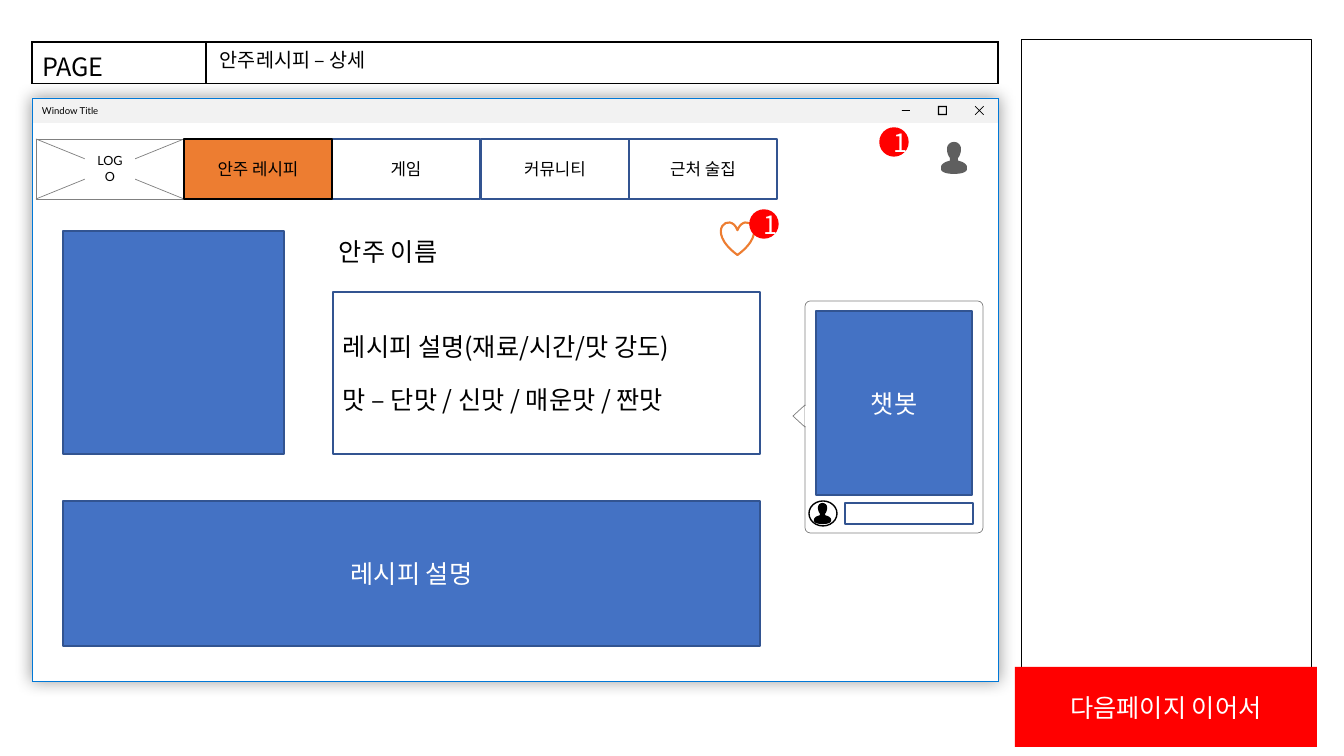
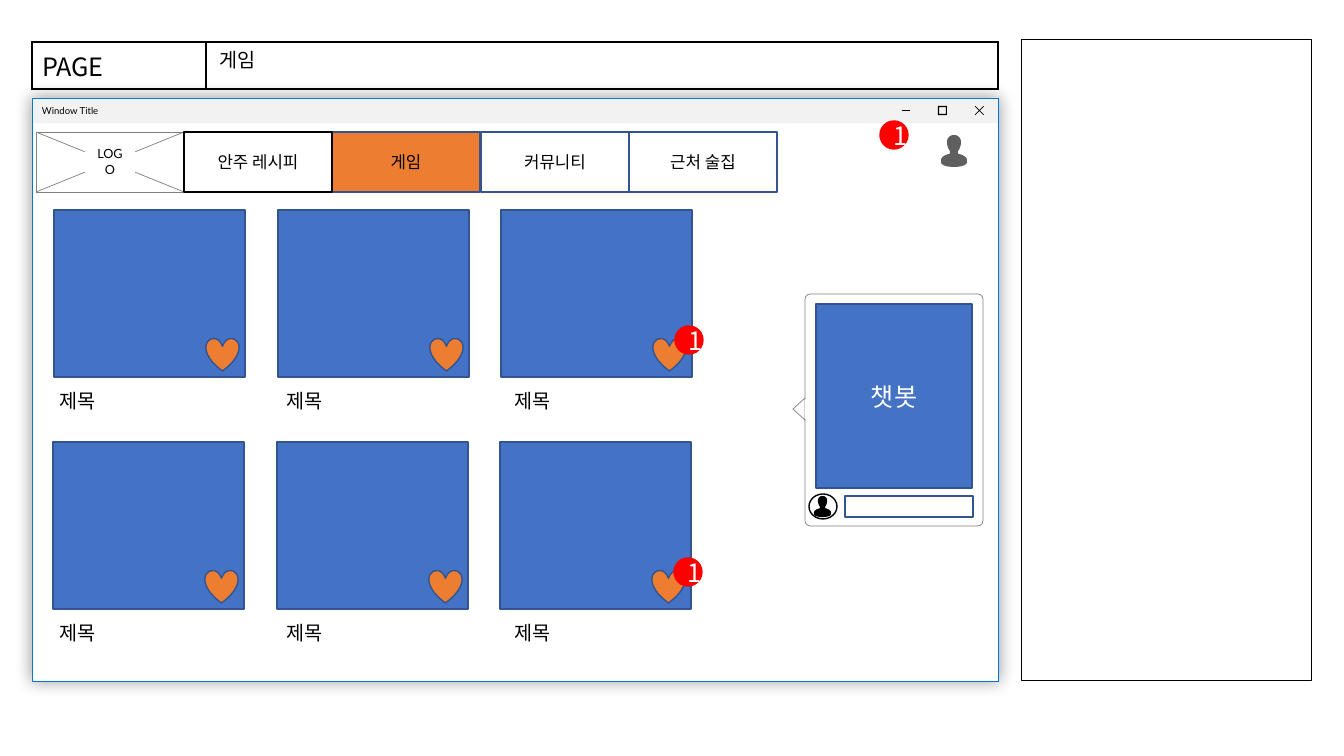
from lxml import etree
from pptx import Presentation
from pptx.dml.color import RGBColor
from pptx.enum.shapes import MSO_CONNECTOR, MSO_SHAPE as SHAPE
from pptx.enum.text import MSO_ANCHOR as ANCHOR, PP_ALIGN as ALIGN
from pptx.oxml.ns import qn
from pptx.util import Pt

PX = 12192000 / 1344  # EMU per px
KOREAN, LATIN = "Noto Sans CJK KR", "Lato"
COLORS = {
    "black": "000000", "white": "FFFFFF", "blue": "4472C4", "navy": "325491",
    "orange": "ED7D31", "red": "FF0000", "gray": "808080", "dark": "5F5F5F",
    "window": "0078D7", "bar": "F2F2F2",
}
TABS = ["안주 레시피", "게임", "커뮤니티", "근처 술집"]
CROSS = [(1, 0), (9, 8), (17, 0), (18, 1), (10, 9), (18, 17),
         (17, 18), (9, 10), (1, 18), (0, 17), (8, 9), (0, 1)]
# Left half of the person icon, each row one cubic curve, 26 x 32 units
PERSON_CURVES = [
    ((13, 0), (9, 0), (6, 3), (6, 7)),
    ((6, 7), (6, 10), (7, 14), (9, 16)),
    ((9, 17), (9, 18), (9, 19), (8, 19)),
    ((8, 19), (3, 20), (0, 23), (0, 25)),
    ((0, 27), (0, 30), (5, 32), (13, 32)),
]


def emu(px):
    return round(px * PX)


def rgb(name):
    return RGBColor.from_string(COLORS[name])


def person_outline(steps=8):
    left = []
    for curve in PERSON_CURVES:
        for i in range(steps + 1):
            t = i / steps
            weights = ((1 - t) ** 3, 3 * t * (1 - t) ** 2, 3 * t * t * (1 - t), t ** 3)
            left.append(tuple(sum(w * pt[axis] for w, pt in zip(weights, curve))
                              for axis in (0, 1)))
    return left + [(26 - x, y) for x, y in reversed(left)]


def write(tf, text, size=18, color="white", font=KOREAN, align=ALIGN.CENTER,
          anchor=ANCHOR.MIDDLE, insets=None, spacing=None, before=0):
    """Fill a text frame; each line of text is a paragraph."""
    tf.word_wrap = True
    tf.vertical_anchor = anchor
    if insets:
        tf.margin_left, tf.margin_top, tf.margin_right, tf.margin_bottom = map(emu, insets)
    for i, line in enumerate(text.split("\n")):
        p = tf.add_paragraph() if i else tf.paragraphs[0]
        p.alignment = align
        if spacing:
            p.line_spacing = spacing
        if i:
            p.space_before = Pt(before)
        r = p.add_run()
        r.text = line
        r.font.size, r.font.name = Pt(size), font
        r.font.color.rgb = rgb(color)
        etree.SubElement(r.font._element, qn("a:ea"), typeface=font)


class Wireframe:
    def __init__(self, prs):
        self.prs = prs
        self.s = None

    # Basic elements
    def paint(self, sp, fill=None, line=None, weight=1):
        sp.shadow.inherit = False
        if fill:
            sp.fill.solid()
            sp.fill.fore_color.rgb = rgb(fill)
        else:
            sp.fill.background()
        if line:
            sp.line.color.rgb = rgb(line)
            sp.line.width = Pt(weight)
        else:
            sp.line.fill.background()
        return sp

    def shape(self, kind, x, y, w, h, text=None, fill=None, line=None, weight=1, **style):
        sp = self.s.shapes.add_shape(kind, *map(emu, (x, y, w, h)))
        if text:
            write(sp.text_frame, text, **style)
        return self.paint(sp, fill, line, weight)

    def rect(self, *box, **style):
        return self.shape(SHAPE.RECTANGLE, *box, **style)

    def text(self, x, y, w, h, text, **style):
        tb = self.s.shapes.add_textbox(*map(emu, (x, y, w, h)))
        write(tb.text_frame, text, color="black", align=ALIGN.LEFT,
              anchor=ANCHOR.TOP, **style)

    def line(self, x1, y1, x2, y2, color):
        c = self.s.shapes.add_connector(MSO_CONNECTOR.STRAIGHT, *map(emu, (x1, y1, x2, y2)))
        c.line.color.rgb = rgb(color)
        c.line.width = Pt(0.5)
        etree.SubElement(c._element.spPr, qn("a:effectLst"))

    def outline(self, points, x, y, unit, fill):
        """Closed polygon; unit is the px length of one point unit."""
        fine = [(px * 100, py * 100) for px, py in points]
        fb = self.s.shapes.build_freeform(*fine[0], scale=unit * PX / 100)
        fb.add_line_segments(fine[1:], close=True)
        self.paint(fb.convert_to_shape(emu(x), emu(y)), fill)

    def badge(self, x, y):
        self.shape(SHAPE.OVAL, x, y, 28, 28, "1", fill="red", line="red")

    def heart(self, x, y, fill="orange", line="navy", weight=1):
        self.shape(SHAPE.HEART, x, y, 33, 33, fill=fill, line=line, weight=weight)

    # Shared page parts
    def window(self):
        box = (32, 98, 966, 583)
        body = self.rect(*box, fill="white", line="window", weight=0.5)
        shadow = etree.SubElement(body._element.spPr.find(qn("a:effectLst")),
                                  qn("a:outerShdw"), blurRad=str(Pt(12)), dist="0",
                                  algn="ctr", rotWithShape="0")
        color = etree.SubElement(shadow, qn("a:srgbClr"), val=COLORS["black"])
        etree.SubElement(color, qn("a:alpha"), val="40000")
        self.rect(32, 98, 966, 25, "Window Title", fill="bar", size=6.8, color="black",
                  font=LATIN, align=ALIGN.LEFT, insets=(10, 6, 10, 5))
        self.rect(902, 110, 8, 1, fill="black")
        self.shape(SHAPE.FRAME, 938, 106, 9, 9, fill="black").adjustments[0] = 0.12
        self.outline(CROSS, 975, 106, 0.5, "black")
        self.rect(*box, line="window", weight=0.5)

    def page_table(self, height, bottom):
        widths = (174, 792)
        gf = self.s.shapes.add_table(1, 2, emu(32), emu(42), emu(sum(widths)), emu(height))
        table = gf.table
        table.first_row = table.horz_banding = False
        for i, width in enumerate(widths):
            table.columns[i].width = emu(width)
            cell = table.cell(0, i)
            cell.margin_top, cell.margin_bottom = emu(5), emu(bottom)
            tcPr = cell._tc.get_or_add_tcPr()
            for side in ("a:lnL", "a:lnR", "a:lnT", "a:lnB"):
                ln = etree.SubElement(tcPr, qn(side), w=str(Pt(1)))
                fill = etree.SubElement(ln, qn("a:solidFill"))
                etree.SubElement(fill, qn("a:srgbClr"), val=COLORS["black"])
            cell.fill.background()
        write(table.cell(0, 0).text_frame, "PAGE", color="black",
              align=ALIGN.LEFT, anchor=ANCHOR.TOP)

    def logo(self, x, y, w, h):
        self.rect(x, y, w, h, fill="white", line="gray", weight=0.5)
        self.line(x, y + h, x + w, y, "gray")
        self.line(x + w, y + h, x, y, "gray")
        self.rect(x + 49, y + 18, 50, 23, "LOGO", fill="white", size=9, color="black",
                  font=LATIN, insets=(8, 4, 8, 4))

    def tabs(self, y, active):
        for i, name in reversed(list(enumerate(TABS))):
            self.rect(184 + 594 * i // 4, y, 148, 60, name, size=12, color="black",
                      fill="orange" if name == active else "white",
                      line="navy" if i else "black")

    def chatbot(self, y):
        panel = self.shape(SHAPE.ROUNDED_RECTANGLE, 805, y, 178, 232,
                           fill="white", line="gray", weight=0.5)
        panel.adjustments[0] = 0.03
        self.shape(SHAPE.ISOSCELES_TRIANGLE, 788, y + 109, 22, 12,
                   fill="white", line="gray", weight=0.5).rotation = 270
        self.line(805, y + 105, 805, y + 125, "white")
        self.rect(845, y + 202, 128, 21, fill="white", line="navy")
        self.rect(816, y + 10, 156, 184, "챗봇", fill="blue", line="navy")
        self.shape(SHAPE.OVAL, 809, y + 200, 28, 25, fill="white", line="black")
        self.outline(person_outline(), 814, y + 202, 0.66, "black")

    def page(self, title, active, top, row=47, bottom=5):
        """Start a slide; top is the y of the menu bar."""
        self.s = self.prs.slides.add_slide(self.prs.slide_layouts[6])
        self.rect(1022, 40, 290, 641, line="black", weight=0.75)
        self.window()
        self.page_table(row, bottom)
        self.text(210, 46, 753, 35, title, size=14, spacing=0.9)
        self.badge(880, top - 11)
        self.outline(person_outline(), 941, top + 3, 1, "dark")
        self.chatbot(top + 162)
        self.logo(36, top, 148, 60)
        self.tabs(top, active)


def recipe_page(w):
    w.page("안주레시피 – 상세", TABS[0], 139, row=41, bottom=0)
    w.rect(63, 231, 221, 223, fill="blue", line="navy")
    w.text(329, 231, 160, 40, "안주 이름")
    w.rect(333, 292, 427, 162, "레시피 설명(재료/시간/맛 강도)\n맛 – 단맛 / 신맛 / 매운맛 / 짠맛",
           fill="white", line="navy", color="black", align=ALIGN.LEFT, before=16)
    w.rect(63, 501, 697, 145, "레시피 설명", fill="blue", line="navy")
    w.heart(721, 222, fill="white", line="orange", weight=1.5)
    w.badge(750, 210)
    w.rect(1015, 667, 302, 80, "다음페이지 이어서", fill="red")


def game_page(w):
    w.page("게임", TABS[1], 132)
    for row in range(2):
        y = 210 + 232 * row
        for col, left in enumerate((54, 278, 501)):
            x = left - row
            w.rect(x, y, 191, 167, fill="blue", line="navy")
            w.heart(x + 152, y + 128)
            w.text(50 + 455 * col // 2, y + 174, 70, 34, "제목", size=14)
        w.badge(x + 174, y + 116)


def main():
    prs = Presentation()
    prs.slide_width, prs.slide_height = emu(1344), emu(756)
    w = Wireframe(prs)
    recipe_page(w)
    game_page(w)
    prs.save("out.pptx")


if __name__ == "__main__":
    main()
